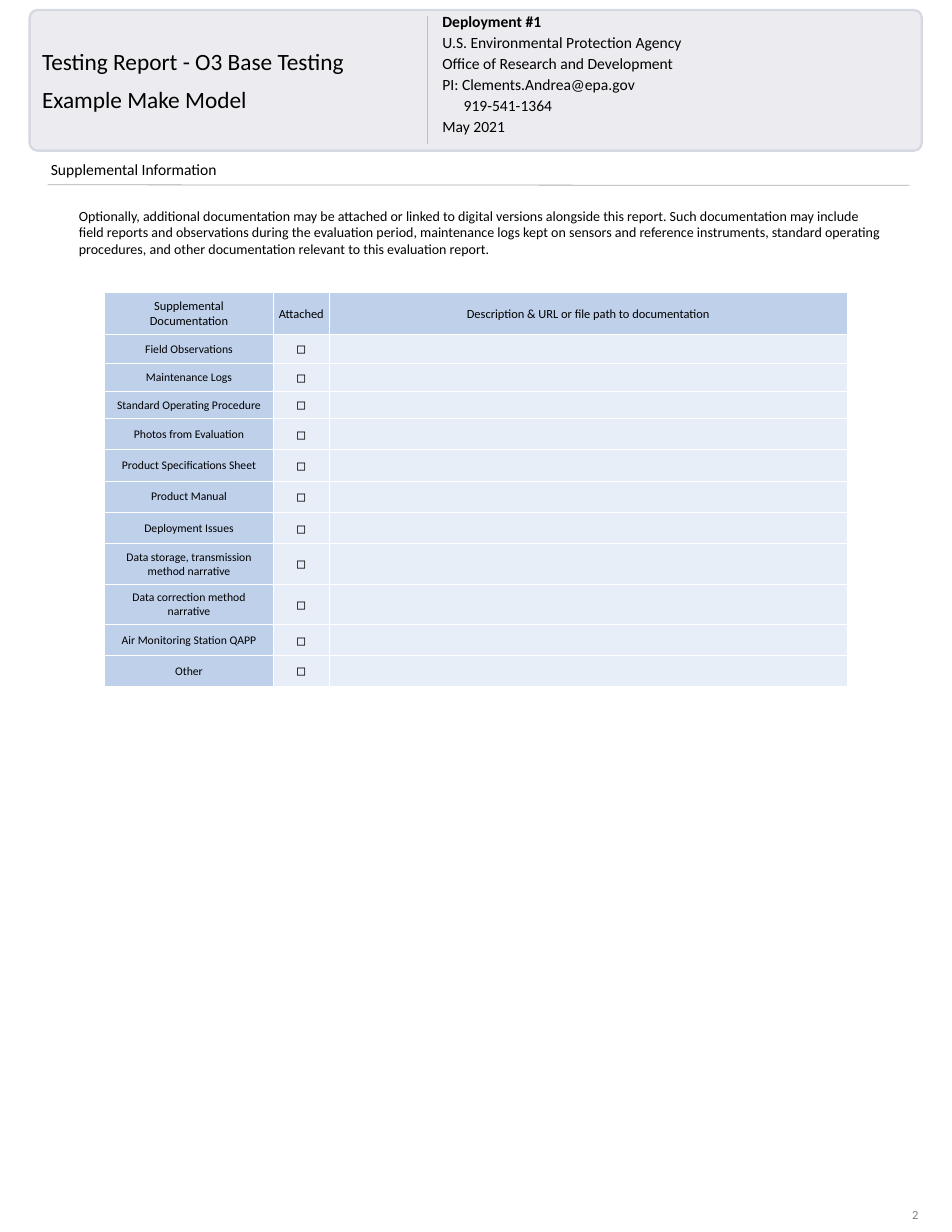
from dataclasses import dataclass

from lxml import etree
from pptx import Presentation
from pptx.dml.color import RGBColor
from pptx.enum.shapes import MSO_CONNECTOR, MSO_SHAPE
from pptx.enum.text import MSO_ANCHOR, MSO_AUTO_SIZE, PP_ALIGN
from pptx.oxml.ns import qn
from pptx.util import Inches, Length, Pt

STRAIGHT = MSO_CONNECTOR.STRAIGHT
ROUNDED = MSO_SHAPE.ROUNDED_RECTANGLE
TOP, MIDDLE = MSO_ANCHOR.TOP, MSO_ANCHOR.MIDDLE
NO_FIT = MSO_AUTO_SIZE.NONE
LEFT, CENTER = PP_ALIGN.LEFT, PP_ALIGN.CENTER

BLACK = RGBColor(0x00, 0x00, 0x00)
WHITE = RGBColor(0xFF, 0xFF, 0xFF)
GRAY = RGBColor(0x80, 0x80, 0x80)
PANEL_FILL = RGBColor(0xEC, 0xEC, 0xF0)
PANEL_EDGE = RGBColor(0xD6, 0xD8, 0xE2)
DIVIDER_GRAY = RGBColor(0xBF, 0xBF, 0xBF)
RULE_GRAY = RGBColor(0xAF, 0xAB, 0xAB)
LABEL_BLUE = RGBColor(0xBF, 0xD0, 0xEB)
ENTRY_BLUE = RGBColor(0xE8, 0xEE, 0xF8)

FONT = "Calibri"
# The page is a grid of 17 columns and 22 rows
COLUMNS, ROWS = 17, 22
WIDTH, HEIGHT = Inches(17), Inches(22)


def across(columns: float) -> Length:
    return Length(round(WIDTH * columns / COLUMNS))


def down(rows: float) -> Length:
    return Length(round(HEIGHT * rows / ROWS))


@dataclass(frozen=True)
class Area:
    left: float
    top: float
    width: float
    height: float

    def lengths(self) -> tuple[Length, Length, Length, Length]:
        return (across(self.left), down(self.top),
                across(self.width), down(self.height))


@dataclass(frozen=True)
class Note:
    text: str
    area: Area
    size: float
    color: RGBColor = BLACK
    indent: float = 0


@dataclass(frozen=True)
class Rule:
    start: tuple[float, float]
    end: tuple[float, float]
    color: RGBColor


@dataclass(frozen=True)
class CellStyle:
    size: float
    fill: RGBColor
    side_inset: float = 0.02
    top_inset: float = 0.02
    bottom_inset: float = 0


@dataclass(frozen=True)
class Document:
    name: str
    height: float = 0.56


PANEL = Area(0.53, 0.18, 15.93, 2.51)
TITLE_AREA = Area(0.65, 0.85, 6.85, 1.11)
CONTACT_AREA = Area(7.8, 0.36, 4.77, 2.12)
TABLE_AREA = Area(1.87, 5.22, 13.26, 7.05)

TITLE = ["Testing Report - O3 Base Testing", "Example Make Model"]
PHONE = "919-541-1364"
CONTACT = [
    "Deployment #1",
    "U.S. Environmental Protection Agency",
    "Office of Research and Development",
    "PI: Clements.Andrea@epa.gov",
    PHONE,
    "May 2021",
]
NOTES = [
    Note("2", Area(16.19, 21.5, 0.81, 0.5), 16, GRAY),
    Note("Optionally, additional documentation may be attached or linked to "
         "digital versions alongside this report. Such documentation may "
         "include field reports and observations during the evaluation "
         "period, maintenance logs kept on sensors and reference "
         "instruments, standard operating procedures, and other "
         "documentation relevant to this evaluation report.",
         Area(0.81, 3.65, 15.02, 1.28), 18, indent=0.5),
    Note("Supplemental Information", Area(0.81, 2.81, 3.16, 0.44), 20),
]
HEADER_DIVIDER = Rule((7.63, 0.28), (7.63, 2.57), DIVIDER_GRAY)
SECTION_RULE = Rule((0.85, 3.3), (16.24, 3.31), RULE_GRAY)

HEADINGS = ["Supplemental Documentation", "Attached",
            "Description & URL or file path to documentation"]
HEADING_HEIGHT = 0.52
COLUMN_WIDTHS = [3.01, 1, 9.25]
DOCUMENTS = [
    Document("Field Observations", 0.52),
    Document("Maintenance Logs", 0.5),
    Document("Standard Operating Procedure", 0.48),
    Document("Photos from Evaluation"),
    Document("Product Specifications Sheet"),
    Document("Product Manual"),
    Document("Deployment Issues"),
    Document("Data storage, transmission method narrative"),
    Document("Data correction method narrative"),
    Document("Air Monitoring Station QAPP"),
    Document("Other", 0.5),
]
CHECKBOX = "◻"
ROOMY = (0.22, 0.11, 0.11)
FIRST_HEADING = CellStyle(16, LABEL_BLUE, *ROOMY)
HEADING = CellStyle(16, LABEL_BLUE)
LABEL = CellStyle(15, LABEL_BLUE, *ROOMY)
CHECK = CellStyle(20, ENTRY_BLUE)
LAST_CHECK = CellStyle(20, ENTRY_BLUE, *ROOMY)
ENTRY = CellStyle(16, ENTRY_BLUE)


def format_text(para, size: float, color: RGBColor = BLACK) -> None:
    for span in para.runs:
        span.font.name, span.font.size = FONT, Pt(size)
        span.font.color.rgb = color


def set_indent(para, columns: float) -> None:
    properties = para._p.get_or_add_pPr()
    properties.set("marL", str(across(columns)))
    properties.set("indent", "0")


def fill_placeholder(box, area: Area, lines: list[str], size: float,
                     spacing: float | Length) -> None:
    box.left, box.top, box.width, box.height = area.lengths()
    frame = box.text_frame
    frame.text = "\n".join(lines)
    frame.word_wrap, frame.auto_size = True, NO_FIT
    frame.vertical_anchor = TOP
    for para in frame.paragraphs:
        para.alignment = LEFT
        para.line_spacing, para.space_before = spacing, Pt(17)
        set_indent(para, 0)
        etree.SubElement(para._p.get_or_add_pPr(), qn("a:buNone"))
        format_text(para, size)


def add_note(page, note: Note) -> None:
    frame = page.shapes.add_textbox(*note.area.lengths()).text_frame
    frame.text, frame.word_wrap = note.text, True
    para = frame.paragraphs[0]
    set_indent(para, note.indent)
    format_text(para, note.size, note.color)


def add_rule(page, rule: Rule):
    (x1, y1), (x2, y2) = rule.start, rule.end
    line = page.shapes.add_connector(
        STRAIGHT, across(x1), down(y1), across(x2), down(y2))
    line.line.color.rgb, line.line.width = rule.color, Pt(1)
    etree.SubElement(line.element.spPr, qn("a:effectLst"))
    return line


def add_panel(page):
    panel = page.shapes.add_shape(ROUNDED, *PANEL.lengths())
    panel.adjustments[0] = 0.055
    panel.shadow.inherit = False
    panel.fill.solid()
    panel.fill.fore_color.rgb = PANEL_FILL
    panel.line.color.rgb, panel.line.width = PANEL_EDGE, Pt(3)
    return panel


def fill_cell(cell, text: str, style: CellStyle) -> None:
    cell.text = text
    cell.vertical_anchor = MIDDLE
    cell.margin_left = cell.margin_right = across(style.side_inset)
    cell.margin_top = down(style.top_inset)
    cell.margin_bottom = down(style.bottom_inset)
    cell.fill.solid()
    cell.fill.fore_color.rgb = style.fill
    para = cell.text_frame.paragraphs[0]
    para.alignment = CENTER
    format_text(para, style.size)
    # Borders come before the fill in the cell properties
    properties = cell._tc.get_or_add_tcPr()
    for place, side in enumerate(("lnL", "lnR", "lnT", "lnB")):
        border = etree.Element(qn(f"a:{side}"), w=str(Pt(1.5)))
        solid = etree.SubElement(border, qn("a:solidFill"))
        etree.SubElement(solid, qn("a:srgbClr"), val=str(WHITE))
        properties.insert(place, border)


def add_document_table(page) -> None:
    table = page.shapes.add_table(
        len(DOCUMENTS) + 1, len(HEADINGS), *TABLE_AREA.lengths()).table
    table.first_row = table.horz_banding = False
    for column, width in zip(table.columns, COLUMN_WIDTHS):
        column.width = across(width)
    heights = [HEADING_HEIGHT] + [document.height for document in DOCUMENTS]
    for row, height in zip(table.rows, heights):
        row.height = down(height)
    contents = [list(zip(HEADINGS, (FIRST_HEADING, HEADING, HEADING)))]
    for document in DOCUMENTS:
        check = LAST_CHECK if document is DOCUMENTS[-1] else CHECK
        contents.append([(document.name, LABEL), (CHECKBOX, check), ("", ENTRY)])
    for row, items in zip(table.rows, contents):
        for cell, (text, style) in zip(row.cells, items):
            fill_cell(cell, text, style)


def main() -> None:
    deck = Presentation()
    deck.slide_width, deck.slide_height = WIDTH, HEIGHT
    page = deck.slides.add_slide(deck.slide_layouts[1])
    title, contact = page.shapes.title, page.placeholders[1]

    # Header panel and divider, behind the header text
    for backdrop in (add_panel(page), add_rule(page, HEADER_DIVIDER)):
        title.element.addprevious(backdrop.element)

    # Header text
    fill_placeholder(title, TITLE_AREA, TITLE, 30, 0.9)
    fill_placeholder(contact, CONTACT_AREA, CONTACT, 20, Pt(10))
    paragraphs = contact.text_frame.paragraphs
    paragraphs[0].runs[0].font.bold = True
    set_indent(paragraphs[CONTACT.index(PHONE)], 0.38)

    # Section text, rule and table
    for note in NOTES:
        add_note(page, note)
    add_rule(page, SECTION_RULE)
    add_document_table(page)

    deck.save("out.pptx")


if __name__ == "__main__":
    main()
